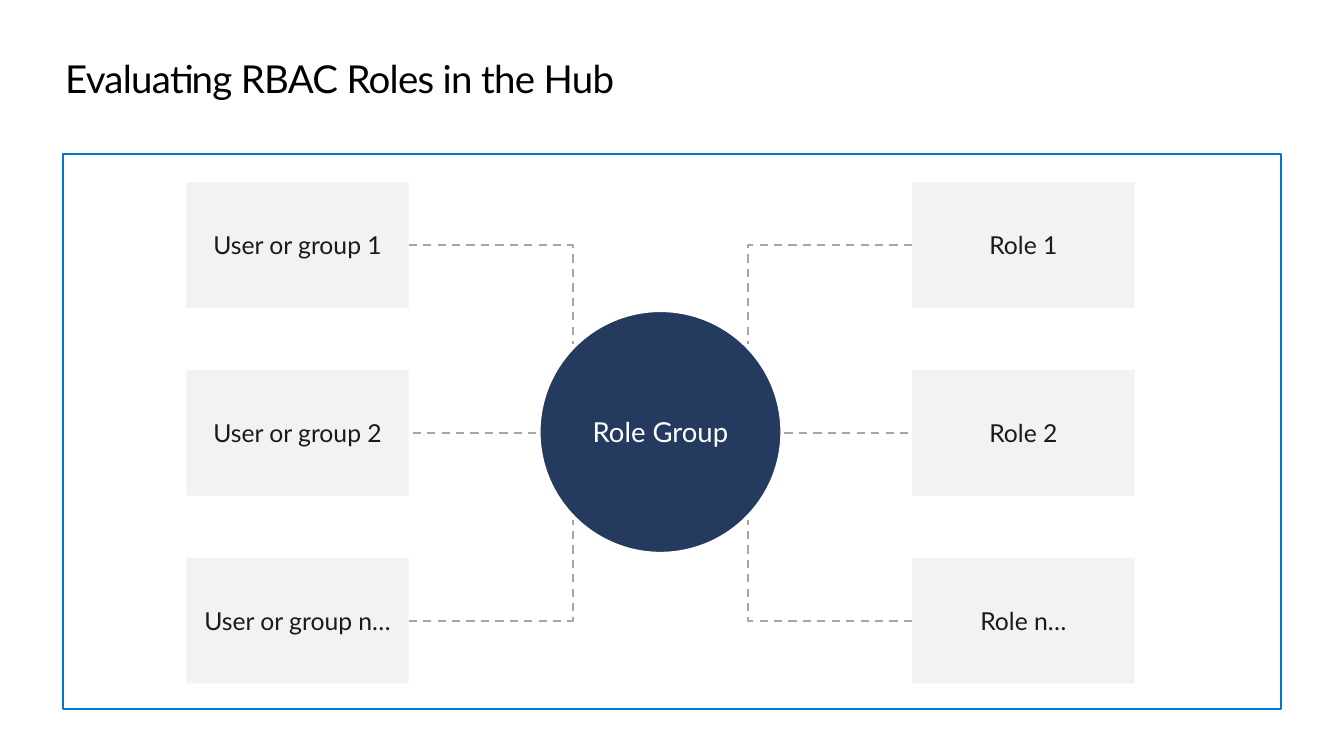
from pptx import Presentation
from pptx.dml.color import RGBColor
from pptx.enum.dml import MSO_LINE
from pptx.enum.shapes import MSO_CONNECTOR, MSO_SHAPE
from pptx.enum.text import MSO_ANCHOR, MSO_AUTO_SIZE, PP_ALIGN
from pptx.oxml.ns import qn
from pptx.util import Pt
from lxml import etree

BLACK = RGBColor(0x00, 0x00, 0x00)
WHITE = RGBColor(0xFF, 0xFF, 0xFF)
BLUE = RGBColor(0x00, 0x78, 0xD4)
NAVY = RGBColor(0x24, 0x3A, 0x5E)
LIGHT_GRAY = RGBColor(0xF2, 0xF2, 0xF2)
LINE_GRAY = RGBColor(0xA6, 0xA6, 0xA6)
DARK_TEXT = RGBColor(0x1A, 0x1A, 0x1A)

FONT = "Lato"
MEMBERS = ["User or group 1", "User or group 2", "User or group n…"]
ROLES = ["Role 1", "Role 2", "Role n…"]
BOX_WIDTH, BOX_HEIGHT, BOX_PITCH = 162, 91.4, 136.8
CIRCLE_SIZE = 180.7
CORNER_OFFSET = 64  # distance from circle centre to its diagonal points


def set_text(shape, text, size, color, alignment, anchor, wrap):
    frame = shape.text_frame
    frame.text = text
    frame_format = {
        "margin_left": 0, "margin_top": 0, "margin_right": 0, "margin_bottom": 0,
        "word_wrap": wrap, "vertical_anchor": anchor, "auto_size": MSO_AUTO_SIZE.NONE,
    }
    for name, value in frame_format.items():
        setattr(frame, name, value)
    paragraph = frame.paragraphs[0]
    paragraph.alignment = alignment
    font = paragraph.runs[0].font
    for name, value in {"name": FONT, "size": Pt(size)}.items():
        setattr(font, name, value)
    font.color.rgb = color


def add_block(slide, kind, left, top, width, height, fill=None, line=None, line_width=0):
    shape = slide.shapes.add_shape(kind, Pt(left), Pt(top), Pt(width), Pt(height))
    shape.shadow.inherit = False
    if fill is None:
        shape.fill.background()
    else:
        shape.fill.solid()
        shape.fill.fore_color.rgb = fill
    if line is None:
        shape.line.fill.background()
    else:
        shape.line.color.rgb = line
        shape.line.width = Pt(line_width)
    return shape


def add_label_block(slide, kind, box, text, size, color, **style):
    shape = add_block(slide, kind, *box, **style)
    set_text(shape, text, size, color, PP_ALIGN.CENTER, MSO_ANCHOR.MIDDLE, False)
    return shape


def add_dashed_link(slide, kind, start_x, start_y, end_x, end_y):
    link = slide.shapes.add_connector(kind, Pt(start_x), Pt(start_y), Pt(end_x), Pt(end_y))
    link.line.color.rgb = LINE_GRAY
    link.line.width = Pt(1.5)
    link.line.dash_style = MSO_LINE.DASH
    properties = link._element.spPr
    etree.SubElement(properties, qn("a:effectLst"))
    if kind == MSO_CONNECTOR.ELBOW:
        # A single bend: across first, then up or down
        properties.find(qn("a:prstGeom")).set("prst", "bentConnector2")
    return link


def add_title(slide, left, top, width, height):
    title = slide.shapes.title
    bounds = {"left": left, "top": top, "width": width, "height": height}
    for name, value in bounds.items():
        setattr(title, name, Pt(value))
    set_text(title, "Evaluating RBAC Roles in the Hub", 28, BLACK,
             PP_ALIGN.LEFT, MSO_ANCHOR.TOP, True)
    run = title.text_frame.paragraphs[0].runs[0]
    run.font._element.set("spc", "-50")


def add_column(slide, labels, left, top, center_x, center_y):
    """One column of boxes, each linked to the central circle."""
    side = -1 if left < center_x else 1
    inner_x = left + BOX_WIDTH if side < 0 else left
    for row, label in enumerate(labels):
        box_top = top + row * BOX_PITCH
        middle_y = box_top + BOX_HEIGHT / 2
        box = add_label_block(slide, MSO_SHAPE.RECTANGLE,
                              (left, box_top, BOX_WIDTH, BOX_HEIGHT),
                              label, 18, DARK_TEXT, fill=LIGHT_GRAY)
        if row == 1:
            link = add_dashed_link(slide, MSO_CONNECTOR.STRAIGHT,
                                   center_x + side * CIRCLE_SIZE / 2, middle_y,
                                   inner_x, middle_y)
            link.end_connect(box, 3 if side < 0 else 1)
        else:
            add_dashed_link(slide, MSO_CONNECTOR.ELBOW, inner_x, middle_y,
                            center_x + side * CORNER_OFFSET,
                            center_y + (row - 1) * CORNER_OFFSET)


def add_role_diagram(slide, left, top, width, height):
    # Outer frame
    add_block(slide, MSO_SHAPE.RECTANGLE, left, top, width, height,
              line=BLUE, line_width=1.5)

    # Central role group
    center_x = left + 435.6
    column_top = top + 20.6
    center_y = column_top + BOX_PITCH + BOX_HEIGHT / 2 - 0.7
    radius = CIRCLE_SIZE / 2
    add_label_block(slide, MSO_SHAPE.OVAL,
                    (center_x - radius, center_y - radius, CIRCLE_SIZE, CIRCLE_SIZE),
                    "Role Group", 20, WHITE, fill=NAVY, line=WHITE, line_width=6)

    # Members on the left, roles on the right
    inset = 90.2
    member_left = left + inset
    role_left = 2 * center_x - member_left - BOX_WIDTH
    for labels, column_left in ((MEMBERS, member_left), (ROLES, role_left)):
        add_column(slide, labels, column_left, column_top, center_x, center_y)


def main():
    presentation = Presentation()
    presentation.slide_width = Pt(979.2)
    presentation.slide_height = Pt(550.8)
    slide = presentation.slides.add_slide(presentation.slide_layouts[5])
    add_title(slide, 47.5, 40, 885, 34.6)
    add_role_diagram(slide, 45.6, 112.3, 887.6, 404.6)
    presentation.save("out.pptx")


if __name__ == "__main__":
    main()
